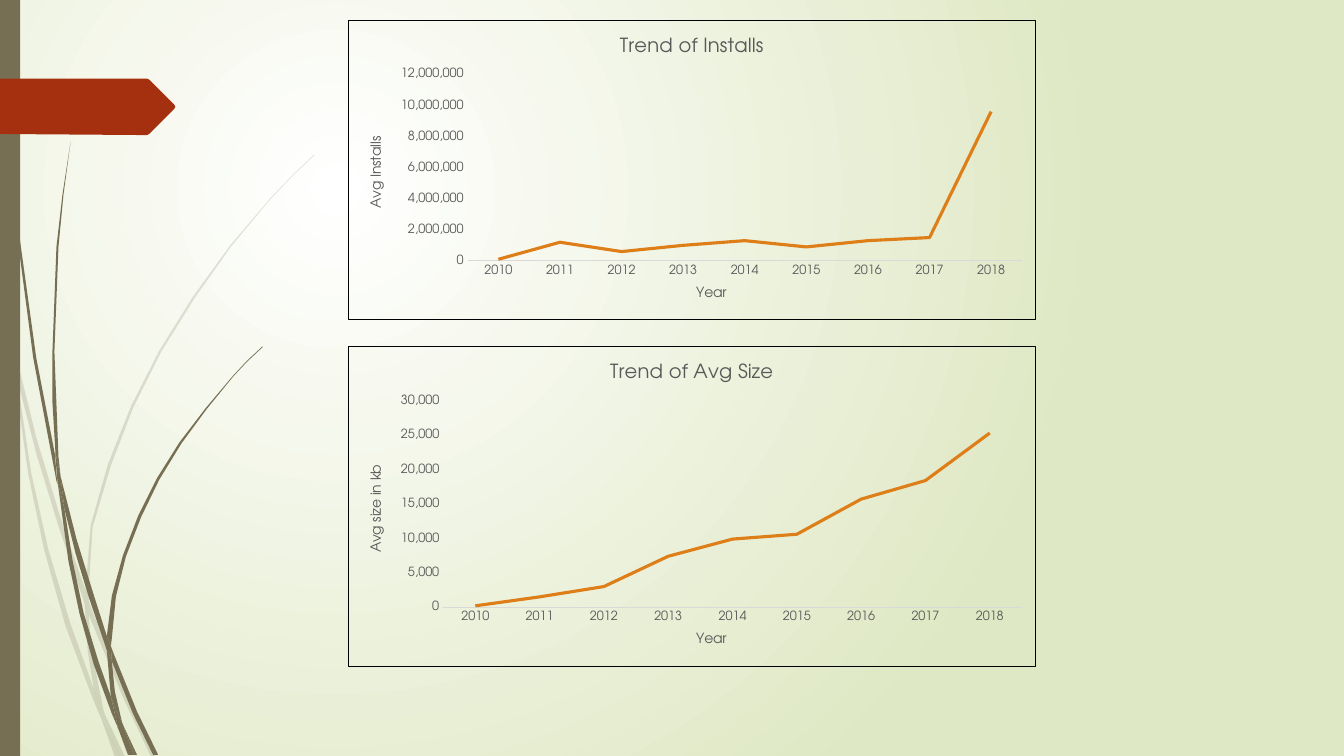
from lxml import etree
from pptx import Presentation
from pptx.chart.data import CategoryChartData
from pptx.dml.color import RGBColor
from pptx.enum import chart as ch, shapes
from pptx.oxml import ns
from pptx.util import Pt

COLORS = {"white": "FFFFFF", "pale": "DFE8C4", "olive": "766F54", "red": "A53010",
          "orange": "DE7E18", "grey": "595959", "axis": "D9D9D9", "black": "000000"}
FONT = "TeX Gyre Adventor"
UNIT = Pt(0.72)  # outlines are given in hundredths of an inch

prs = Presentation()
prs.slide_width, prs.slide_height = Pt(960), Pt(540)
slide = prs.slides.add_slide(prs.slide_layouts[6])


def add_outline(points, color, opacity=100):
    builder = slide.shapes.build_freeform(*points[0], scale=UNIT)
    builder.add_line_segments(points[1:], close=True)
    outline = builder.convert_to_shape()
    outline.shadow.inherit = False
    outline.line.fill.background()
    outline.fill.solid()
    outline.fill.fore_color.rgb = RGBColor.from_string(COLORS[color])
    if opacity < 100:
        tint = outline.fill._xPr.find(".//" + ns.qn("a:srgbClr"))
        etree.SubElement(tint, ns.qn("a:alpha"), val=str(opacity * 1000))


def style_font(font, size, color):
    font.name, font.size, font.bold = FONT, Pt(size), False
    font.color.rgb = RGBColor.from_string(COLORS[color])


# Background glow, centred in the upper left quarter
glow = slide.background.fill
glow.gradient()
for stop, color, position in zip(glow.gradient_stops, ("white", "pale"), (0, 1)):
    stop.color.rgb = RGBColor.from_string(COLORS[color])
    stop.position = position
gradient = slide.element.find(".//" + ns.qn("a:gradFill"))
gradient.remove(gradient.find(ns.qn("a:lin")))
glow_path = etree.SubElement(gradient, ns.qn("a:path"), path="circle")
etree.SubElement(glow_path, ns.qn("a:fillToRect"),
                 l="50000", t="50000", r="100000", b="100000")

# Grass blades
faint_blades = [
    [(11, 350), (9, 322), (0, 282), (0, 299), (10, 344)],
    [(58, 522), (84, 599), (85, 586), (62, 520), (36, 434), (14, 345), (17, 376), (36, 450)],
    [(92, 607), (88, 596), (88, 610), (123, 694), (150, 751), (155, 751), (127, 692)],
    [(119, 751), (124, 751), (105, 711)],
    [(93, 683), (70, 619), (48, 545), (31, 469), (17, 376), (11, 350), (28, 470), (44, 546),
     (65, 621), (92, 693), (101, 714), (99, 707)],
    [(84, 599), (87, 646), (93, 683), (96, 692), (105, 711), (103, 706), (91, 646),
     (88, 610), (88, 608)],
    [(88, 584), (92, 523), (110, 462), (132, 405), (160, 349), (193, 296), (229, 245),
     (268, 198), (290, 175), (312, 154), (312, 153), (289, 175), (268, 197), (228, 244),
     (191, 295), (158, 348), (130, 403), (107, 461), (90, 521), (85, 584), (85, 586), (88, 596)],
    [(101, 714), (114, 751), (119, 751)],
    [(88, 608), (88, 610), (88, 596), (85, 586), (84, 599)],
    [(96, 692), (93, 683), (99, 707), (101, 714), (119, 751), (105, 711)],
]
dark_blades = [
    [(7, 110), (17, 233), (33, 355), (56, 477), (57, 481), (55, 457), (55, 453), (36, 355),
     (19, 232), (8, 109), (5, 48), (4, 0), (3, 0), (4, 48)],
    [(88, 592), (106, 645), (106, 633), (106, 631), (93, 590), (76, 535), (60, 472),
     (64, 505), (75, 549)],
    [(113, 649), (110, 641), (111, 656), (132, 708), (152, 749), (157, 749), (136, 706)],
    [(110, 691), (98, 657), (83, 608), (72, 556), (64, 505), (57, 477), (68, 557), (79, 609),
     (93, 659), (111, 708), (117, 722), (116, 717)],
    [(60, 472), (58, 453), (54, 349), (58, 245), (63, 193), (70, 141), (62, 193), (56, 245),
     (52, 349), (52, 399), (55, 449)],
    [(133, 749), (136, 749), (122, 719)],
    [(57, 477), (64, 505), (60, 472), (55, 449), (55, 453)],
    [(111, 633), (115, 592), (125, 552), (140, 513), (158, 476), (180, 440), (205, 406),
     (231, 374), (245, 359), (261, 344), (260, 344), (245, 358), (231, 373), (204, 405),
     (178, 439), (156, 474), (137, 512), (122, 551), (111, 591), (106, 631), (110, 641)],
    [(117, 722), (127, 749), (131, 749)],
    [(106, 645), (110, 691), (116, 706), (122, 719), (121, 716), (114, 686), (111, 656),
     (109, 651)],
    [(106, 645), (109, 651), (111, 656), (110, 641), (106, 631), (106, 633)],
    [(116, 706), (110, 691), (116, 717), (117, 722), (130, 749), (133, 749), (122, 719)],
]
for blade in faint_blades:
    add_outline(blade, "olive", 20)
for blade in dark_blades:
    add_outline(blade, "olive")

side_bar = slide.shapes.add_shape(shapes.MSO_SHAPE.RECTANGLE, 0, 0, Pt(14.4), Pt(540))
side_bar.shadow.inherit = False
side_bar.line.fill.background()
side_bar.fill.solid()
side_bar.fill.fore_color.rgb = RGBColor.from_string(COLORS["olive"])

page_tag = [(0, 78), (146, 78), (148, 79), (173, 104), (174, 106), (173, 108), (148, 133),
            (146, 134), (136, 134), (0, 133)]
add_outline(page_tag, "red")

# Trend charts: title, value title, top, height, axis maximum, axis step, values
trends = [
    ("Trend of Installs", "Avg Installs", 14.4, 214.56, 12000000, 2000000,
     (100000, 1200000, 600000, 1000000, 1300000, 900000, 1300000, 1500000, 9600000)),
    ("Trend of Avg Size", "Avg size in kb", 246.96, 229.68, 30000, 5000,
     (200, 1500, 3000, 7400, 9900, 10600, 15700, 18400, 25300)),
]
for title, value_title, top, height, maximum, step, values in trends:
    data = CategoryChartData(number_format="#,##0")
    data.categories = [str(year) for year in range(2010, 2019)]
    data.add_series("Series 1", values)
    trend = slide.shapes.add_chart(ch.XL_CHART_TYPE.LINE, Pt(248.4), Pt(top), Pt(491.76),
                                   Pt(height), data).chart
    style_font(trend.font, 10, "black")
    trend.has_legend = False
    trend.has_title = True
    trend.title_include_in_layout = False
    years, amounts = trend.category_axis, trend.value_axis
    for owner, wording, size in ((trend.chart_title, title, 14), (years.axis_title, "Year", 10),
                                 (amounts.axis_title, value_title, 10)):
        run = owner.text_frame.paragraphs[0].add_run()
        run.text = wording
        style_font(run.font, size, "grey")
    for axis in (years, amounts):
        axis.has_major_gridlines = False
        axis.major_tick_mark = axis.minor_tick_mark = ch.XL_TICK_MARK.NONE
        style_font(axis.tick_labels.font, 9, "grey")
    years.format.line.width = Pt(0.75)
    years.format.line.color.rgb = RGBColor.from_string(COLORS["axis"])
    amounts.format.line.fill.background()
    amounts.minimum_scale, amounts.maximum_scale, amounts.major_unit = 0, maximum, step
    amounts.tick_labels.number_format = "#,##0"
    amounts.tick_labels.number_format_is_linked = False

    plot = trend.plots[0]
    plot.vary_by_categories = False
    series = plot.series[0]
    series.smooth = False
    series.marker.style = ch.XL_MARKER_STYLE.NONE
    series.format.line.width = Pt(2.25)
    series.format.line.color.rgb = RGBColor.from_string(COLORS["orange"])

    frame = etree.Element(ns.qn("c:spPr"))
    etree.SubElement(frame, ns.qn("a:noFill"))
    border = etree.SubElement(frame, ns.qn("a:ln"), w=str(Pt(0.75)))
    border_fill = etree.SubElement(border, ns.qn("a:solidFill"))
    etree.SubElement(border_fill, ns.qn("a:srgbClr"), val=COLORS["black"])
    trend.element.find(ns.qn("c:chart")).addnext(frame)

prs.save("out.pptx")
